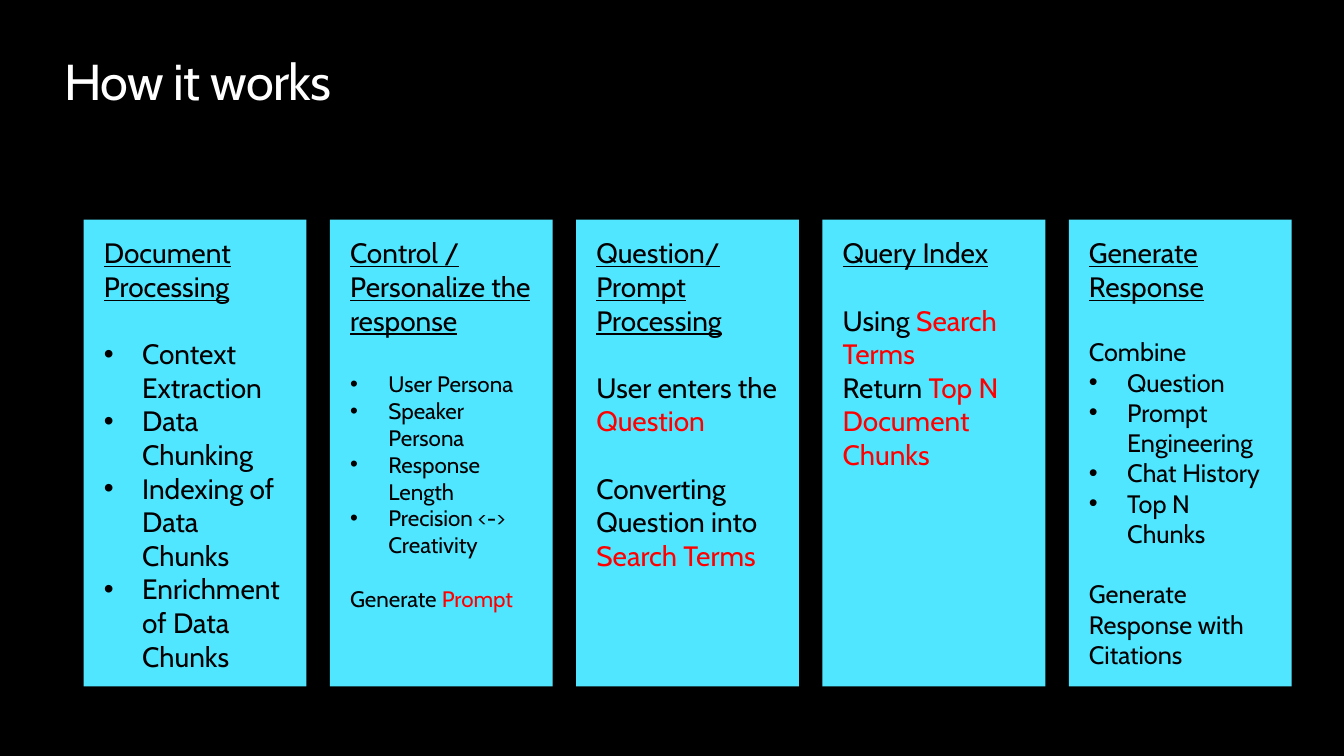
import pptx
import pptx.dml.color
import pptx.enum.shapes
import pptx.enum.text
import pptx.oxml.ns
import pptx.util
from lxml import etree

COLORS = {"background": "000000", "title": "FFFFFF", "panel": "50E6FF",
          "text": "000000", "key": "FF0000"}
FONT = "Cabin"
HEADING_SIZE = 20
LINE = 1.2  # line height as a share of the font size
WIDTH, HEIGHT = pptx.util.Inches(13.33), pptx.util.Inches(7.5)
FIRST_LEFT, LAST_LEFT, PANEL_TOP = 0.83, 10.6, 2.18
PANEL_WIDTH, PANEL_HEIGHT = 2.21, 4.63
BULLET, PLAIN, SPACED = "bullet", "plain", "spaced"

# heading, body size, body paragraphs; words between asterisks are key terms
STEPS = [
    ("Document Processing", 20, [
        (BULLET, "Context Extraction"),
        (BULLET, "Data Chunking"),
        (BULLET, "Indexing of Data Chunks"),
        (BULLET, "Enrichment of Data Chunks")]),
    ("Control / Personalize the response", 16, [
        (BULLET, "User Persona"),
        (BULLET, "Speaker Persona"),
        (BULLET, "Response Length"),
        (BULLET, "Precision <-> Creativity"),
        (SPACED, "Generate *Prompt*")]),
    ("Question/\nPrompt Processing", 20, [
        (PLAIN, "User enters the *Question*"),
        (SPACED, "Converting Question into *Search Terms*")]),
    ("Query Index", 20, [
        (PLAIN, "Using *Search Terms*"),
        (PLAIN, "Return *Top N Document Chunks*")]),
    ("Generate Response", 18, [
        (PLAIN, "Combine"),
        (BULLET, "Question"),
        (BULLET, "Prompt Engineering"),
        (BULLET, "Chat History"),
        (BULLET, "Top N Chunks"),
        (SPACED, "Generate Response with Citations")]),
]


def rgb(name):
    return pptx.dml.color.RGBColor.from_string(COLORS[name])


def add_bullet(p):
    pPr = p._p.get_or_add_pPr()
    indent = pptx.util.Inches(0.38)
    pPr.set("marL", str(indent))
    pPr.set("indent", str(-indent))
    etree.SubElement(pPr, pptx.oxml.ns.qn("a:buFont"), typeface="Arial")
    etree.SubElement(pPr, pptx.oxml.ns.qn("a:buChar"), char="•")


def write(p, text, size=HEADING_SIZE, color="text", underline=None,
          before=0, bullet=False, spacing=None):
    """Fill a paragraph; asterisks switch the key colour, newlines break."""
    p.alignment = pptx.enum.text.PP_ALIGN.LEFT
    if before:
        p.space_before = pptx.util.Pt(before)
    if bullet:
        add_bullet(p)
    for i, part in enumerate(text.split("*")):
        for j, line in enumerate(part.split("\n")):
            if j:
                p.add_line_break()
            if not line:
                continue
            r = p.add_run()
            r.text = line
            r.font.name = FONT
            r.font.size = pptx.util.Pt(size)
            r.font.underline = underline
            r.font.color.rgb = rgb("key" if i % 2 else color)
            if spacing:
                r._r.get_or_add_rPr().set("spc", str(int(spacing * 100)))


def set_frame(tf, x=0, y=0):
    tf.word_wrap = True
    tf.vertical_anchor = pptx.enum.text.MSO_ANCHOR.TOP
    tf.margin_left = tf.margin_right = pptx.util.Inches(x)
    tf.margin_top = tf.margin_bottom = pptx.util.Inches(y)


def add_title(s, text):
    sp = s.shapes.title
    sp.left, sp.top, sp.width, sp.height = map(
        pptx.util.Inches, (0.64, 0.5, 12.05, 0.61))
    tf = sp.text_frame
    set_frame(tf)
    tf.auto_size = pptx.enum.text.MSO_AUTO_SIZE.SHAPE_TO_FIT_TEXT
    write(tf.paragraphs[0], text, size=36, color="title", spacing=-0.5)


def add_panel(s, left, heading, size, body):
    sp = s.shapes.add_shape(
        pptx.enum.shapes.MSO_SHAPE.RECTANGLE,
        *map(pptx.util.Inches, (left, PANEL_TOP, PANEL_WIDTH, PANEL_HEIGHT)))
    sp.shadow.inherit = False
    sp.fill.solid()
    sp.fill.fore_color.rgb = rgb("panel")
    sp.line.fill.background()
    tf = sp.text_frame
    set_frame(tf, 0.2, 0.16)
    write(tf.paragraphs[0], heading, underline=True)
    for i, (kind, text) in enumerate(body):
        gap = HEADING_SIZE if i == 0 else size if kind == SPACED else 0
        write(tf.add_paragraph(), text, size=size, before=gap * LINE,
              bullet=kind == BULLET)


def main():
    prs = pptx.Presentation()
    prs.slide_width, prs.slide_height = WIDTH, HEIGHT
    s = prs.slides.add_slide(prs.slide_layouts.get_by_name("Title Only"))
    s.background.fill.solid()
    s.background.fill.fore_color.rgb = rgb("background")
    add_title(s, "How it works")
    pitch = (LAST_LEFT - FIRST_LEFT) / (len(STEPS) - 1)
    for i, step in enumerate(STEPS):
        add_panel(s, FIRST_LEFT + i * pitch, *step)
    prs.save("out.pptx")


if __name__ == "__main__":
    main()
